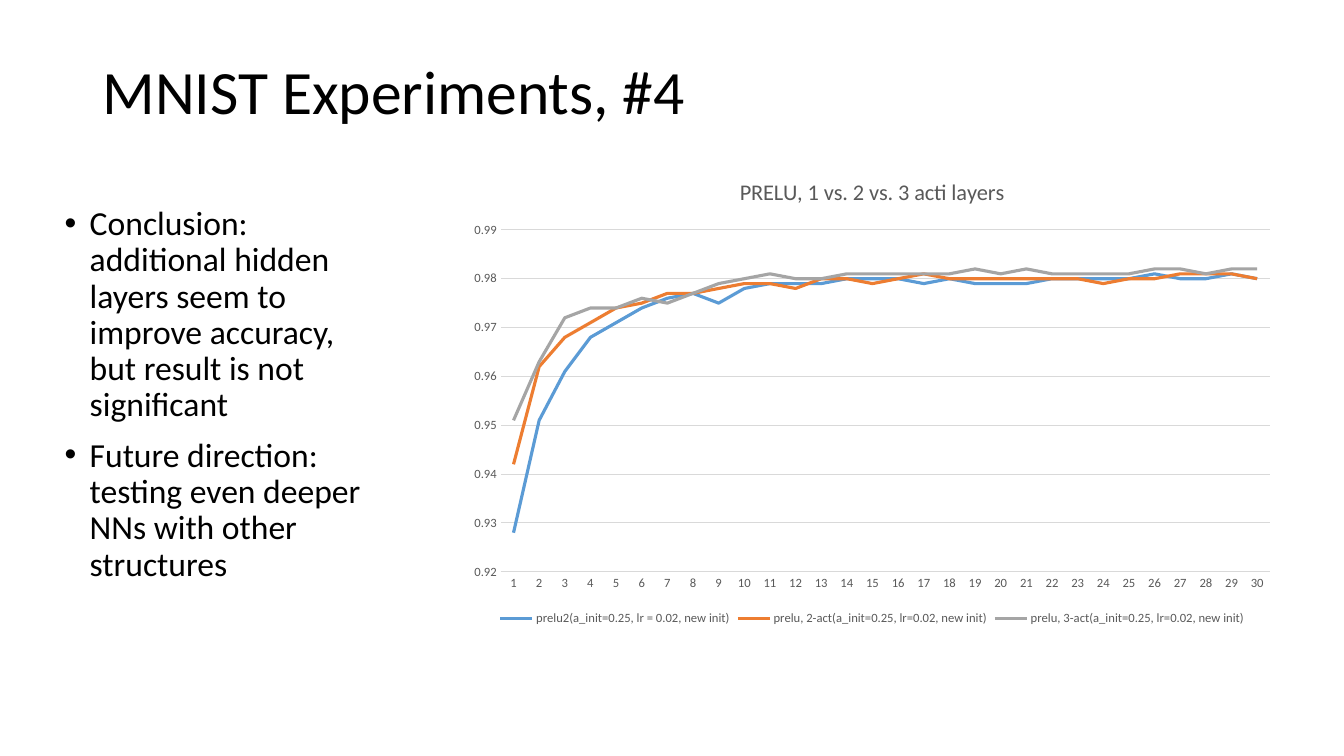
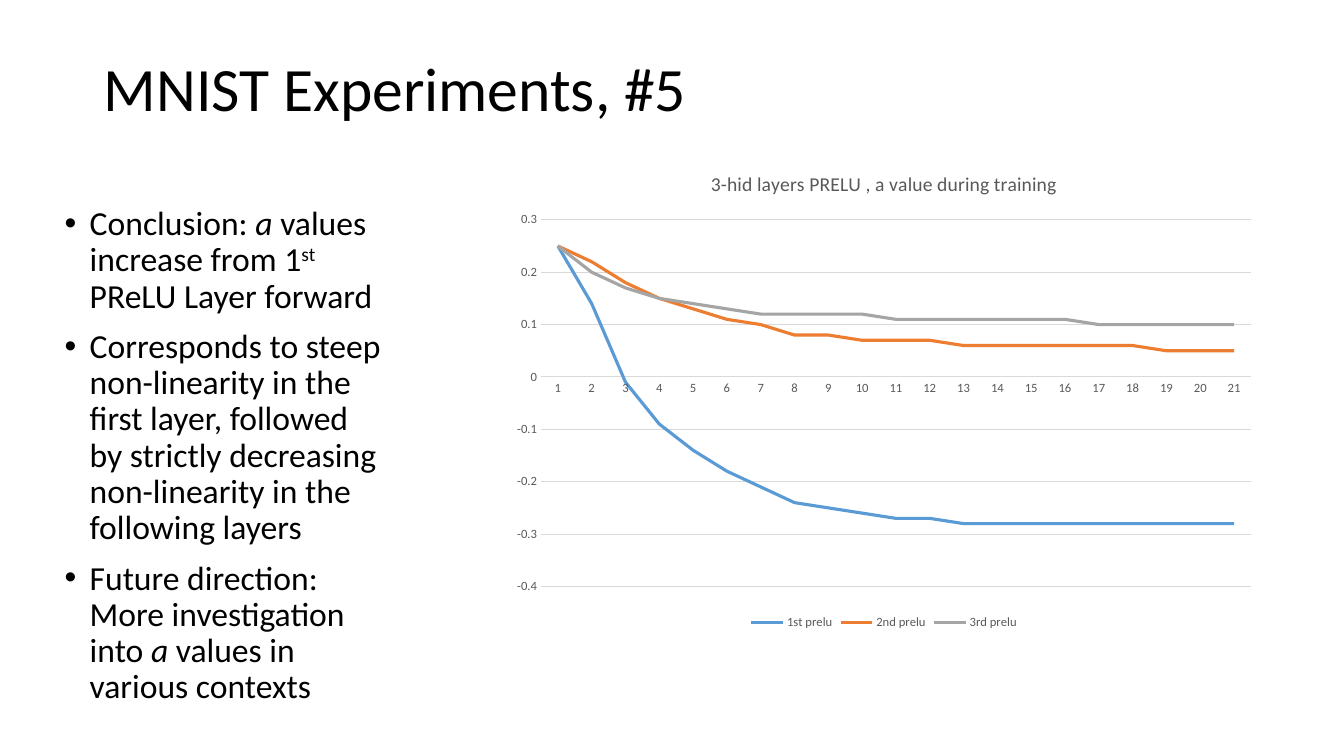
from lxml import etree
from pptx import Presentation
from pptx.chart.data import CategoryChartData
from pptx.dml.color import RGBColor
from pptx.enum.chart import XL_CHART_TYPE, XL_LEGEND_POSITION, XL_TICK_MARK
from pptx.enum.text import MSO_ANCHOR, MSO_AUTO_SIZE, PP_ALIGN
from pptx.oxml.ns import qn
from pptx.util import Pt

LINE_CHART = XL_CHART_TYPE.LINE
LEGEND_BOTTOM = XL_LEGEND_POSITION.BOTTOM
NO_TICK = XL_TICK_MARK.NONE
MIDDLE = MSO_ANCHOR.MIDDLE
TOP = MSO_ANCHOR.TOP
NO_AUTOFIT = MSO_AUTO_SIZE.NONE
LEFT = PP_ALIGN.LEFT

COLORS = {
    "text": "000000",
    "chart_text": "595959",
    "grid": "D9D9D9",
    "blue": "5B9BD5",
    "orange": "ED7D31",
    "gray": "A5A5A5",
}
SERIES_COLORS = ("blue", "orange", "gray")
FONT = "Calibri"
TITLE_SIZE, BODY_SIZE, LABEL_SIZE = 44, 24, 9
LINE_SPACING = 0.9
BULLET_INDENT = 18
BODY_BOX = (39, 144, 242, 343)
PLAIN, ITALIC, SUPERSCRIPT = "plain", "italic", "superscript"

ACCURACY = {
    "prelu2(a_init=0.25, lr = 0.02, new init)": (
        0.928, 0.951, 0.961, 0.968, 0.971, 0.974, 0.976, 0.977, 0.975, 0.978,
        0.979, 0.979, 0.979, 0.98, 0.98, 0.98, 0.979, 0.98, 0.979, 0.979,
        0.979, 0.98, 0.98, 0.98, 0.98, 0.981, 0.98, 0.98, 0.981, 0.98),
    "prelu, 2-act(a_init=0.25, lr=0.02, new init)": (
        0.942, 0.962, 0.968, 0.971, 0.974, 0.975, 0.977, 0.977, 0.978, 0.979,
        0.979, 0.978, 0.98, 0.98, 0.979, 0.98, 0.981, 0.98, 0.98, 0.98,
        0.98, 0.98, 0.98, 0.979, 0.98, 0.98, 0.981, 0.981, 0.981, 0.98),
    "prelu, 3-act(a_init=0.25, lr=0.02, new init)": (
        0.951, 0.963, 0.972, 0.974, 0.974, 0.976, 0.975, 0.977, 0.979, 0.98,
        0.981, 0.98, 0.98, 0.981, 0.981, 0.981, 0.981, 0.981, 0.982, 0.981,
        0.982, 0.981, 0.981, 0.981, 0.981, 0.982, 0.982, 0.981, 0.982, 0.982),
}
A_VALUES = {
    "1st prelu": (
        0.25, 0.14, -0.01, -0.09, -0.14, -0.18, -0.21, -0.24, -0.25, -0.26, -0.27,
        -0.27, -0.28, -0.28, -0.28, -0.28, -0.28, -0.28, -0.28, -0.28, -0.28),
    "2nd prelu": (
        0.25, 0.22, 0.18, 0.15, 0.13, 0.11, 0.1, 0.08, 0.08, 0.07, 0.07,
        0.07, 0.06, 0.06, 0.06, 0.06, 0.06, 0.06, 0.05, 0.05, 0.05),
    "3rd prelu": (
        0.25, 0.2, 0.17, 0.15, 0.14, 0.13, 0.12, 0.12, 0.12, 0.12, 0.11,
        0.11, 0.11, 0.11, 0.11, 0.11, 0.1, 0.1, 0.1, 0.1, 0.1),
}


def color(name):
    return RGBColor.from_string(COLORS[name])


def style_font(font, size, color_name):
    font.name = FONT
    font.size = Pt(size)
    font.bold = False
    font.color.rgb = color(color_name)


def style_line(line, color_name, width):
    line.color.rgb = color(color_name)
    line.width = Pt(width)


class Deck:
    def __init__(self):
        self.presentation = Presentation()
        self.presentation.slide_width = Pt(960)
        self.presentation.slide_height = Pt(540)
        self.slide = None

    def add_slide(self, title, left, top):
        title_only = self.presentation.slide_layouts.get_by_name("Title Only")
        self.slide = self.presentation.slides.add_slide(title_only)
        shape = self.slide.shapes.title
        shape.left, shape.top, shape.width, shape.height = map(Pt, (left, top, 828, 104.4))
        frame = shape.text_frame
        frame.auto_size = NO_AUTOFIT
        frame.vertical_anchor = MIDDLE
        paragraph = frame.paragraphs[0]
        paragraph.alignment = LEFT
        paragraph.line_spacing = LINE_SPACING
        self.add_run(paragraph, title, TITLE_SIZE)

    def add_run(self, paragraph, text, size, style=PLAIN):
        run = paragraph.add_run()
        run.text = text
        style_font(run.font, size, "text")
        if style == ITALIC:
            run.font.italic = True
        elif style == SUPERSCRIPT:
            run.font._element.set("baseline", "30000")

    def add_bullets(self, bullets):
        """Add the left column; each bullet is a list of (text, style) runs."""
        frame = self.slide.shapes.add_textbox(*map(Pt, BODY_BOX)).text_frame
        frame.word_wrap = True
        frame.auto_size = NO_AUTOFIT
        frame.vertical_anchor = TOP
        for index, runs in enumerate(bullets):
            paragraph = frame.add_paragraph() if index else frame.paragraphs[0]
            paragraph.line_spacing = LINE_SPACING
            paragraph.space_before = Pt(10)
            properties = paragraph._p.get_or_add_pPr()
            properties.set("marL", str(Pt(BULLET_INDENT)))
            properties.set("indent", str(-Pt(BULLET_INDENT)))
            etree.SubElement(properties, qn("a:buFont")).set("typeface", "Arial")
            etree.SubElement(properties, qn("a:buChar")).set("char", "•")
            for text, style in runs:
                self.add_run(paragraph, text, BODY_SIZE, style)

    def add_line_chart(self, box, title, title_size, series_values, scale):
        """Add a line chart; scale is (minimum, maximum, major unit)."""
        data = CategoryChartData()
        count = max(map(len, series_values.values()))
        data.categories = [str(number) for number in range(1, count + 1)]
        for name, values in series_values.items():
            data.add_series(name, values)
        chart = self.slide.shapes.add_chart(LINE_CHART, *map(Pt, box), data).chart
        style_font(chart.font, 10, "text")

        chart.has_title = True
        title_run = chart.chart_title.text_frame.paragraphs[0].add_run()
        title_run.text = title
        style_font(title_run.font, title_size, "chart_text")
        chart.chart_title.include_in_layout = False

        chart.has_legend = True
        chart.legend.position = LEGEND_BOTTOM
        chart.legend.include_in_layout = False
        style_font(chart.legend.font, LABEL_SIZE, "chart_text")

        for axis in (chart.category_axis, chart.value_axis):
            axis.major_tick_mark = axis.minor_tick_mark = NO_TICK
            style_font(axis.tick_labels.font, LABEL_SIZE, "chart_text")
        style_line(chart.category_axis.format.line, "grid", 0.75)
        value_axis = chart.value_axis
        value_axis.minimum_scale, value_axis.maximum_scale, value_axis.major_unit = scale
        value_axis.tick_labels.number_format = "General"
        value_axis.tick_labels.number_format_is_linked = False
        value_axis.format.line.fill.background()
        value_axis.has_major_gridlines = True
        style_line(value_axis.major_gridlines.format.line, "grid", 0.75)

        plot = chart.plots[0]
        plot.vary_by_categories = False
        for series, color_name in zip(plot.series, SERIES_COLORS):
            series.smooth = False
            style_line(series.format.line, color_name, 2.25)


def main():
    deck = Deck()

    deck.add_slide("MNIST Experiments, #4", 66, 15)
    deck.add_line_chart((327, 112.5, 592, 337.5), "PRELU, 1 vs. 2 vs. 3 acti layers",
                        16, ACCURACY, (0.92, 0.99, 0.01))
    deck.add_bullets([
        [("Conclusion: additional hidden layers seem to improve accuracy, "
          "but result is not significant", PLAIN)],
        [("Future direction: testing even deeper NNs with other structures", PLAIN)],
    ])

    deck.add_slide("MNIST Experiments, #5", 67, 13)
    deck.add_line_chart((358.5, 108.5, 546, 344),
                        "3-hid layers PRELU , a value during training",
                        14, A_VALUES, (-0.4, 0.3, 0.1))
    deck.add_bullets([
        [("Conclusion: ", PLAIN), ("a", ITALIC), (" values increase from 1", PLAIN),
         ("st ", SUPERSCRIPT), ("PReLU Layer forward", PLAIN)],
        [("Corresponds to steep non-linearity in the first layer, followed by "
          "strictly decreasing non-linearity in the following layers", PLAIN)],
        [("Future direction: More investigation into ", PLAIN), ("a", ITALIC),
         (" values in various contexts", PLAIN)],
    ])

    deck.presentation.save("out.pptx")


if __name__ == "__main__":
    main()
